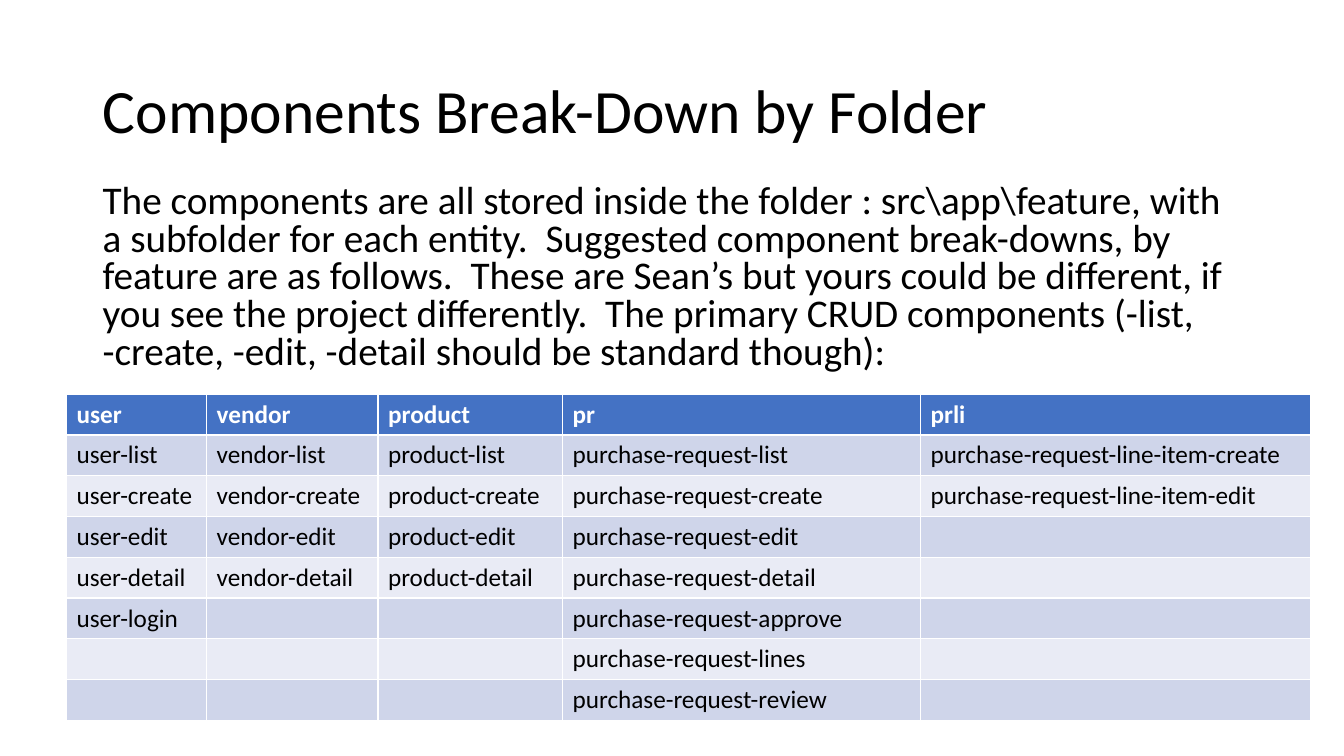
import pptx
import pptx.util
import pptx.dml.color
import pptx.enum.text

Inches = pptx.util.Inches
Pt = pptx.util.Pt
RGBColor = pptx.dml.color.RGBColor

FONT = "Calibri"
BLACK = RGBColor(0x00, 0x00, 0x00)
WHITE = RGBColor(0xFF, 0xFF, 0xFF)
BLUE = RGBColor(0x44, 0x72, 0xC4)
BANDS = (RGBColor(0xE9, 0xEB, 0xF5), RGBColor(0xCF, 0xD5, 0xEA))

TITLE = "Components Break-Down by Folder"
INTRO = (
    "The components are all stored inside the folder : src\\app\\feature, "
    "with a subfolder for each entity.  Suggested component break-downs, "
    "by feature are as follows.  These are Sean’s but yours could be "
    "different, if you see the project differently.  The primary CRUD "
    "components (-list, -create, -edit, -detail should be standard though):"
)
CRUD = ("list", "create", "edit", "detail")
FOLDERS = [
    ("user", 1.39, "user", CRUD + ("login",)),
    ("vendor", 1.7, "vendor", CRUD),
    ("product", 1.83, "product", CRUD),
    ("pr", 3.55, "purchase-request", CRUD + ("approve", "lines", "review")),
    ("prli", 3.87, "purchase-request-line-item", ("create", "edit")),
]
LEFT, TOP, HEIGHT = 0.66, 3.91, 3.24


def place(shape, left, top, width, height):
    """Set the position and size of a shape in inches."""
    shape.left, shape.top = Inches(left), Inches(top)
    shape.width, shape.height = Inches(width), Inches(height)


def write(frame, text, size, color, bold=False):
    """Put one styled paragraph in a text frame and return it."""
    frame.text = text
    para = frame.paragraphs[0]
    para.font.name = FONT
    para.font.size = Pt(size)
    para.font.color.rgb = color
    para.font.bold = bold
    para.alignment = pptx.enum.text.PP_ALIGN.LEFT
    return para


def add_grid(slide):
    """Add the table of components, one column per folder."""
    count = 1 + max(len(folder[3]) for folder in FOLDERS)
    width = sum(folder[1] for folder in FOLDERS)
    grid = slide.shapes.add_table(
        count, len(FOLDERS), Inches(LEFT), Inches(TOP),
        Inches(width), Inches(HEIGHT)).table
    for row in grid.rows:
        row.height = Inches(HEIGHT / count)
    for col, (name, wide, stem, parts) in enumerate(FOLDERS):
        grid.columns[col].width = Inches(wide)
        labels = [name] + [f"{stem}-{part}" for part in parts]
        for row in range(count):
            cell = grid.cell(row, col)
            head = row == 0
            cell.fill.solid()
            cell.fill.fore_color.rgb = BLUE if head else BANDS[row % 2]
            if row < len(labels):
                write(cell.text_frame, labels[row], 18,
                      WHITE if head else BLACK, head)


def main():
    """Build the slide and save it."""
    deck = pptx.Presentation()
    deck.slide_width, deck.slide_height = Inches(13.33), Inches(7.5)
    slide = deck.slides.add_slide(deck.slide_layouts[5])

    title = slide.shapes.title
    place(title, 0.92, 0.4, 11.5, 1.45)
    title.text_frame.vertical_anchor = pptx.enum.text.MSO_ANCHOR.MIDDLE
    write(title.text_frame, TITLE, 44, BLACK).line_spacing = 0.9

    intro = slide.shapes.add_textbox(
        Inches(0.92), Inches(1.78), Inches(11.5), Inches(1.97))
    intro.text_frame.word_wrap = True
    para = write(intro.text_frame, INTRO, 28, BLACK)
    para.line_spacing = 0.8
    para.space_before = Pt(10)

    add_grid(slide)
    deck.save("out.pptx")


if __name__ == "__main__":
    main()
